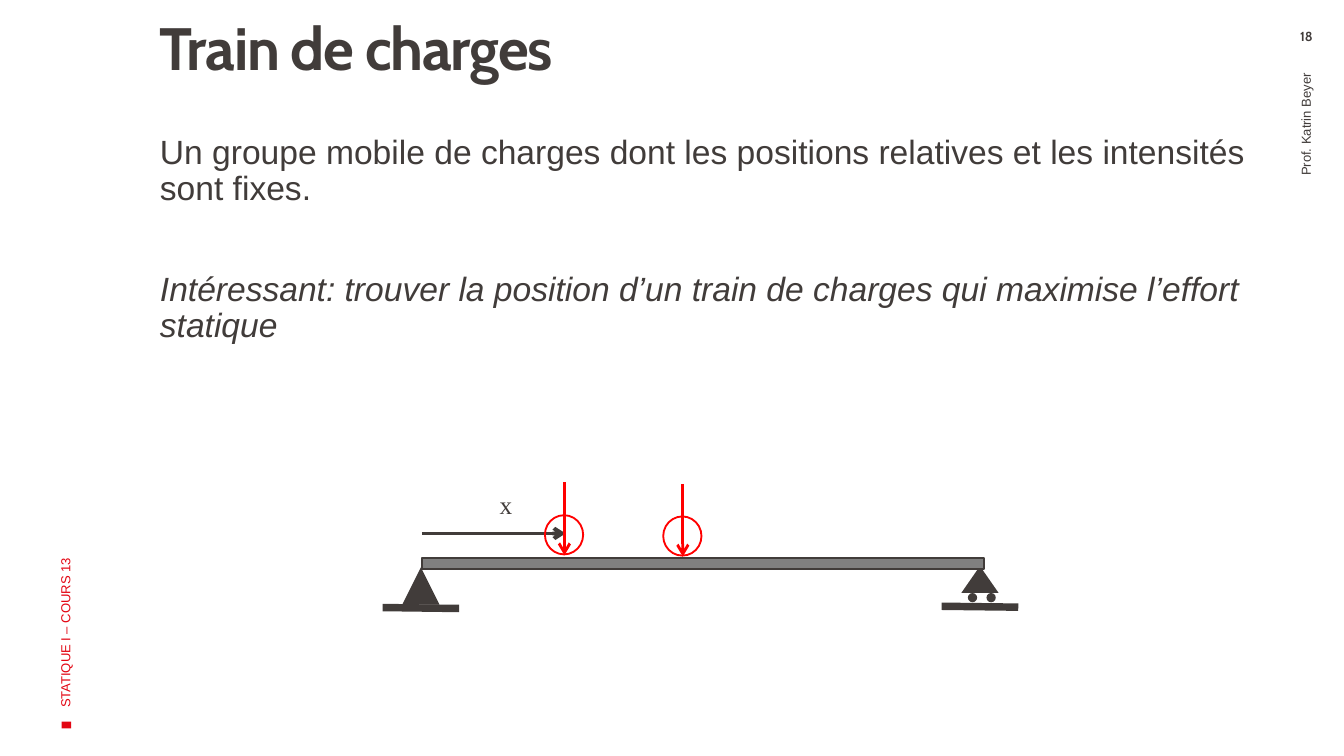
from pptx import Presentation
from pptx import util as u
from pptx.dml import color
from pptx.enum import shapes, text
from pptx.oxml import parse_xml
from pptx.oxml.ns import nsdecls

Pt = u.Pt
DARK, RED, LOAD, GREY = "413C3A", "E30613", "FF0000", "808080"
KIND = shapes.MSO_SHAPE
TOP, MID = text.MSO_ANCHOR.TOP, text.MSO_ANCHOR.MIDDLE
ALIGN = text.PP_ALIGN


def paint(fmt, hue):
    """Give a fill or a line format a solid colour."""
    if hasattr(fmt, "solid"):
        fmt.solid()
        fmt.fore_color.rgb = color.RGBColor.from_string(hue)
    else:
        paint(fmt.fill, hue)


def frame(shape, pad, anchor=TOP, wrap=True):
    """Set insets (left, top, right, bottom), anchor and wrapping."""
    tf = shape.text_frame
    tf.auto_size = text.MSO_AUTO_SIZE.NONE
    tf.word_wrap, tf.vertical_anchor = wrap, anchor
    tf.margin_left, tf.margin_top, tf.margin_right, tf.margin_bottom = map(Pt, pad)
    return tf


def write(para, words, size, font="Arial", hue=DARK, bold=False, slant=False):
    run = para.add_run()
    run.text = words
    face = run.font
    face.size, face.name, face.bold, face.italic = Pt(size), font, bold, slant
    face.color.rgb = color.RGBColor.from_string(hue)
    return run


def place(shape, x, y, w, h):
    shape.left, shape.top, shape.width, shape.height = map(Pt, (x, y, w, h))


def label(slide, box, words, size, pad, anchor=TOP, align=ALIGN.LEFT,
          turn=0, wrap=True, **look):
    shape = slide.shapes.add_textbox(*map(Pt, box))
    shape.rotation = turn
    para = frame(shape, pad, anchor, wrap).paragraphs[0]
    para.alignment = align
    write(para, words, size, **look)


def form(slide, kind, x, y, w, h, fill=None, edge=None):
    shape = slide.shapes.add_shape(kind, *map(Pt, (x, y, w, h)))
    shape.shadow.inherit = False
    if fill:
        paint(shape.fill, fill)
    else:
        shape.fill.background()
    if edge:
        paint(shape.line, edge)
        shape.line.width = Pt(1)
    else:
        shape.line.fill.background()
    return shape


def line(slide, x1, y1, x2, y2, hue, width, arrow=False):
    link = slide.shapes.add_connector(
        shapes.MSO_CONNECTOR.STRAIGHT, *map(Pt, (x1, y1, x2, y2)))
    paint(link.line, hue)
    link.line.width = Pt(width)
    if arrow:
        link.line._get_or_add_ln().append(
            parse_xml(f'<a:tailEnd {nsdecls("a")} type="arrow"/>'))
    link._element.spPr.append(parse_xml(f'<a:effectLst {nsdecls("a")}/>'))


def heading(slide, box):
    shape = slide.shapes.title
    place(shape, *box)
    para = frame(shape, (14.4, 0, 5.8, 3.6)).paragraphs[0]
    para.alignment, para.line_spacing = ALIGN.LEFT, 0.9
    run = write(para, "Train de charges", 32, "Cabin", bold=True)
    run.font._element.set("spc", "-70")


def body(slide, box):
    tf = frame(slide.shapes.add_textbox(*map(Pt, box)), (14.4, 3.6, 7.2, 3.6))
    first, last = tf.paragraphs[0], tf.add_paragraph()
    first.line_spacing = last.line_spacing = 0.9
    last.space_before = Pt(34.5)
    write(first, "Un groupe mobile de charges dont les positions relatives "
                 "et les intensités sont fixes.", 18)
    write(last, "Intéressant: trouver la position d’un train de charges "
                "qui maximise l’effort statique", 18, slant=True)


def margins(slide):
    """Course name, author and page number at the slide's sides."""
    mark = form(slide, KIND.RECTANGLE, 33.8, 385.9, 3.6, 5, RED)
    mark.rotation = 270
    label(slide, (-96.5, 218.9, 262.8, 72), "STATIQUE I – COURS 13", 7,
          (7.2, 3.6, 7.2, 3.6), MID, turn=270, hue=RED)
    label(slide, (560.2, 147.6, 278.6, 40.3), "Prof. Katrin Beyer", 7,
          (7.2, 3.6, 10.8, 3.6), MID, ALIGN.RIGHT, turn=270)
    label(slide, (679.7, 15.1, 40.3, 13), "18", 7, (7.2, 0, 7.2, 0),
          align=ALIGN.CENTER, font="Cabin", bold=True)


def support(slide, x, y, high, rolls=False):
    """A support whose tip is at x, y."""
    form(slide, KIND.ISOSCELES_TRIANGLE, x - 10, y, 20, high, DARK)
    line(slide, x - 20.5, y + 21.5, x + 20.5, y + 22, DARK, 4)
    if rolls:
        for mid in (x - 4, x + 6):
            form(slide, KIND.OVAL, mid - 2.5, y + high, 5, 5, DARK)


def load(slide, x, y):
    """A circled force arrow that starts at x, y."""
    line(slide, x, y, x, y + 39, LOAD, 1.5, True)
    form(slide, KIND.OVAL, x - 10.5, y + 17.5, 20.5, 21, edge=LOAD)


def beam(slide, x, y, w):
    """The loaded beam; x is its left end, y the top of the loads."""
    support(slide, x - 0.5, y + 45.5, 20)
    support(slide, x + w - 2, y + 44.8, 14.4, True)
    form(slide, KIND.RECTANGLE, x, y + 40.3, w, 6, GREY, DARK)
    line(slide, x, y + 27.3, x + 77, y + 27.3, DARK, 2, True)
    label(slide, (x + 34.6, y, 21.6, 26.6), "x", 13.5,
          (7.2, 3.6, 7.2, 3.6), wrap=False, font="Times New Roman")
    load(slide, x + 76.4, y)
    load(slide, x + 139.8, y + 0.7)


def main():
    deck = Presentation()
    deck.slide_width, deck.slide_height = Pt(720), Pt(405)
    slide = deck.slides.add_slide(deck.slide_layouts[5])
    heading(slide, (71.3, 10.1, 552.2, 84.2))
    body(slide, (71.3, 69.1, 608.4, 266.4))
    margins(slide)
    beam(slide, 226, 258.5, 301)
    deck.save("out.pptx")


if __name__ == "__main__":
    main()
